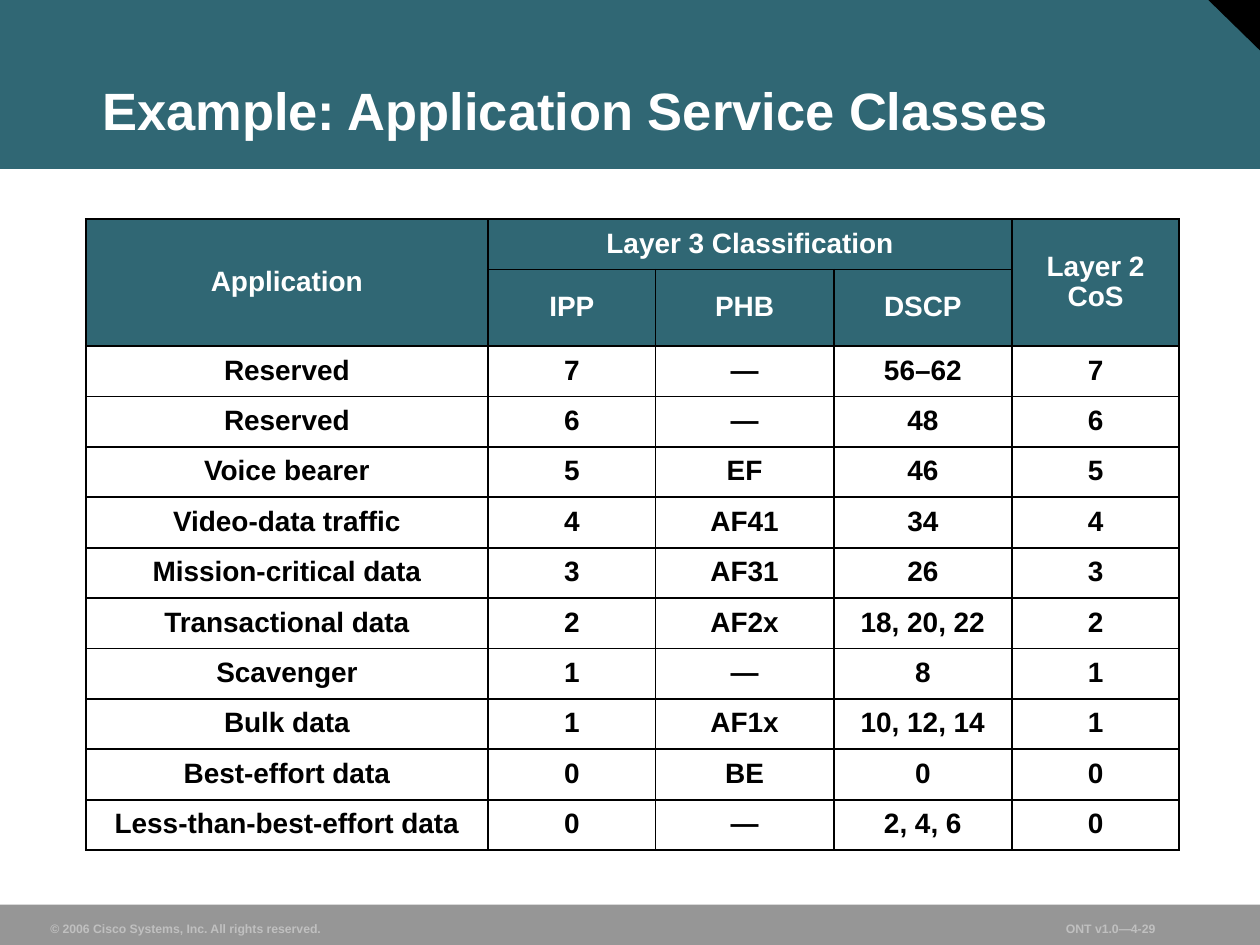
import pptx
import pptx.dml.color
import pptx.enum.shapes
import pptx.enum.text
import pptx.oxml
import pptx.oxml.ns
import pptx.util

RGBColor = pptx.dml.color.RGBColor
TEAL = RGBColor(0x30, 0x67, 0x74)
GRAY = RGBColor(0x96, 0x96, 0x96)
SILVER = RGBColor(0xC0, 0xC0, 0xC0)
WHITE = RGBColor(0xFF, 0xFF, 0xFF)
BLACK = RGBColor(0x00, 0x00, 0x00)

FONT = "Arial"
SLIDE_WIDTH = pptx.util.Inches(10)
SLIDE_HEIGHT = pptx.util.Inches(7.5)
BORDER_WIDTH = pptx.util.Pt(1.08)

COLUMN_SHARES = [36.8, 15.3, 16.3, 16.3, 15.3]
HEADER_ROWS = 2
ROW_UNITS = [1, 1.5] + [1] * 10
MERGES = [((0, 0), (1, 0)), ((0, 1), (0, 3)), ((0, 4), (1, 4))]
SERVICE_CLASSES = [
    ["Application", "Layer 3 Classification", "", "", "Layer 2 CoS"],
    ["", "IPP", "PHB", "DSCP", ""],
    ["Reserved", "7", "—", "56–62", "7"],
    ["Reserved", "6", "—", "48", "6"],
    ["Voice bearer", "5", "EF", "46", "5"],
    ["Video-data traffic", "4", "AF41", "34", "4"],
    ["Mission-critical data", "3", "AF31", "26", "3"],
    ["Transactional data", "2", "AF2x", "18, 20, 22", "2"],
    ["Scavenger", "1", "—", "8", "1"],
    ["Bulk data", "1", "AF1x", "10, 12, 14", "1"],
    ["Best-effort data", "0", "BE", "0", "0"],
    ["Less-than-best-effort data", "0", "—", "2, 4, 6", "0"],
]


def percent_box(left, top, width, height):
    return (
        int(SLIDE_WIDTH * left / 100),
        int(SLIDE_HEIGHT * top / 100),
        int(SLIDE_WIDTH * width / 100),
        int(SLIDE_HEIGHT * height / 100),
    )


def add_panel(slide, kind, box, color, rotation=0):
    shape = slide.shapes.add_shape(kind, *percent_box(*box))
    shape.shadow.inherit = False
    shape.fill.solid()
    shape.fill.fore_color.rgb = color
    shape.line.fill.background()
    shape.rotation = rotation


def write_run(paragraph, text, size, color):
    run = paragraph.add_run()
    run.text = text
    run.font.name = FONT
    run.font.size = pptx.util.Pt(size)
    run.font.bold = True
    run.font.color.rgb = color


def add_label(slide, text, box, size, color, wrap=False):
    frame = slide.shapes.add_textbox(*percent_box(*box)).text_frame
    frame.word_wrap = wrap
    frame.auto_size = (
        pptx.enum.text.MSO_AUTO_SIZE.NONE
        if wrap
        else pptx.enum.text.MSO_AUTO_SIZE.SHAPE_TO_FIT_TEXT
    )
    frame.vertical_anchor = pptx.enum.text.MSO_ANCHOR.BOTTOM
    frame.margin_left = frame.margin_right = pptx.util.Inches(0.09)
    frame.margin_top = frame.margin_bottom = pptx.util.Inches(0.04)
    paragraph = frame.paragraphs[0]
    paragraph.line_spacing = 0.9 if wrap else 1.0
    write_run(paragraph, text, size, color)


def add_borders(cell):
    properties = cell._tc.get_or_add_tcPr()
    for side in ("lnL", "lnR", "lnT", "lnB"):
        properties.append(pptx.oxml.parse_xml(
            f'<a:{side} {pptx.oxml.ns.nsdecls("a")} w="{int(BORDER_WIDTH)}">'
            f'<a:solidFill><a:srgbClr val="{BLACK}"/></a:solidFill>'
            f'</a:{side}>'
        ))


def format_cell(cell, text, is_header):
    add_borders(cell)
    cell.fill.solid()
    cell.fill.fore_color.rgb = TEAL if is_header else WHITE
    cell.vertical_anchor = pptx.enum.text.MSO_ANCHOR.MIDDLE
    cell.margin_left = cell.margin_right = pptx.util.Inches(0.09)
    cell.margin_top = cell.margin_bottom = pptx.util.Inches(0.05)
    if text:
        paragraph = cell.text_frame.paragraphs[0]
        paragraph.alignment = pptx.enum.text.PP_ALIGN.CENTER
        paragraph.line_spacing = 0.95
        write_run(paragraph, text, 16, WHITE if is_header else BLACK)


def add_class_table(slide, box):
    left, top, width, height = percent_box(*box)
    table = slide.shapes.add_table(
        len(ROW_UNITS), len(COLUMN_SHARES), left, top, width, height
    ).table
    for column, share in zip(table.columns, COLUMN_SHARES):
        column.width = int(width * share / 100)
    for row, units in zip(table.rows, ROW_UNITS):
        row.height = int(height * units / sum(ROW_UNITS))
    for first, last in MERGES:
        table.cell(*first).merge(table.cell(*last))
    for row_index, texts in enumerate(SERVICE_CLASSES):
        for column_index, text in enumerate(texts):
            cell = table.cell(row_index, column_index)
            format_cell(cell, text, row_index < HEADER_ROWS)


def main():
    presentation = pptx.Presentation()
    presentation.slide_width = SLIDE_WIDTH
    presentation.slide_height = SLIDE_HEIGHT
    slide = presentation.slides.add_slide(presentation.slide_layouts[6])
    shapes = pptx.enum.shapes.MSO_SHAPE

    add_panel(slide, shapes.RECTANGLE, (0, 0, 100, 17.87), TEAL)
    add_panel(slide, shapes.RIGHT_TRIANGLE, (95.8, -0.13, 4.2, 5.47), BLACK, 180)
    add_panel(slide, shapes.RECTANGLE, (0, 95.73, 100, 4.27), GRAY)
    add_label(slide, "© 2006 Cisco Systems, Inc. All rights reserved.",
              (3.1, 96.8, 23.3, 2.8), 7, SILVER)
    add_label(slide, "ONT v1.0—4-29", (83.7, 96.8, 8.9, 2.8), 7, SILVER)
    add_label(slide, "Example: Application Service Classes",
              (7.2, 3.33, 89.1, 12.27), 30, WHITE, wrap=True)
    add_class_table(slide, (6.8, 23.2, 86.8, 66.67))

    presentation.save("out.pptx")


if __name__ == "__main__":
    main()
